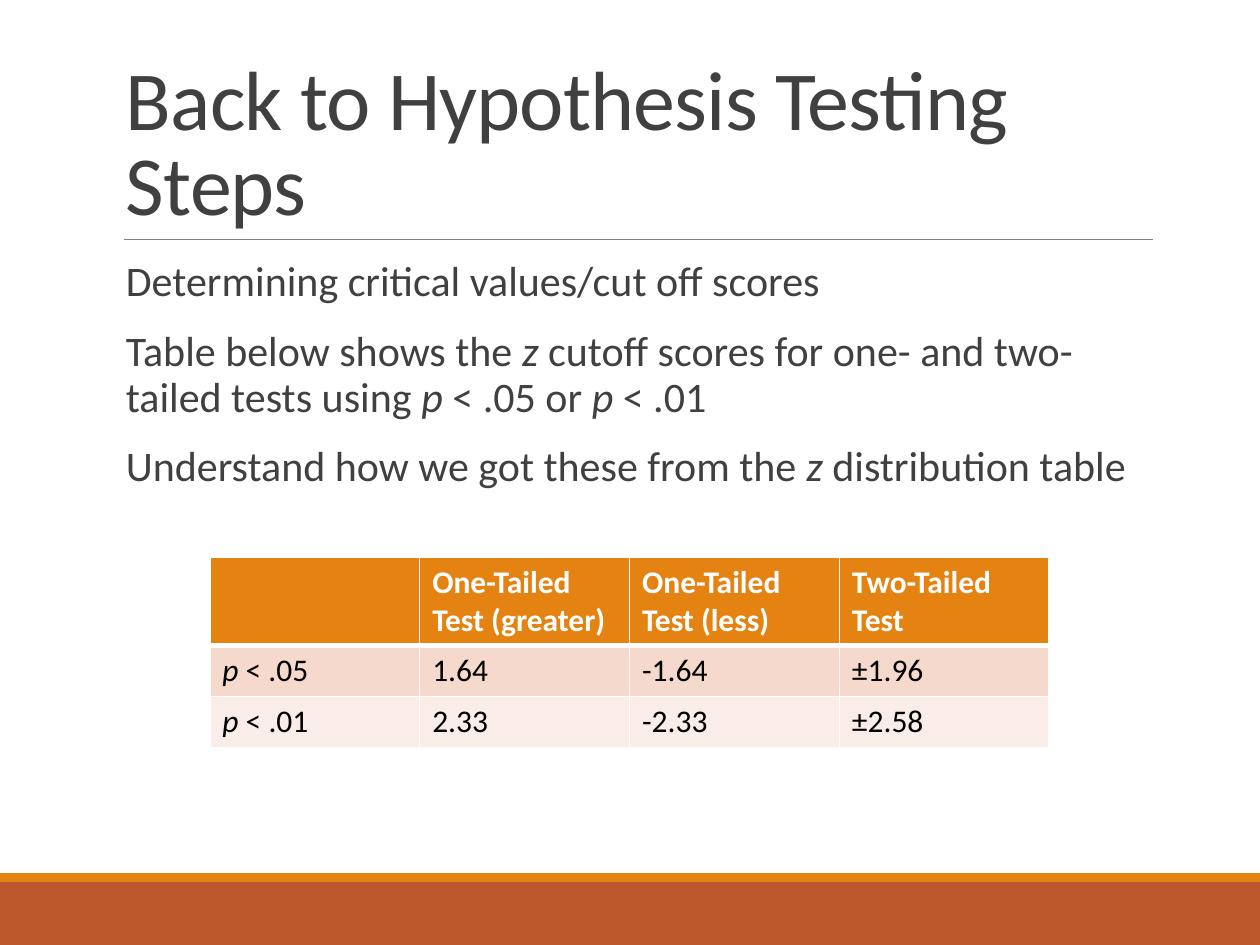
from lxml.etree import SubElement
from pptx import Presentation
from pptx.dml.color import RGBColor
from pptx.enum.shapes import MSO_CONNECTOR, MSO_SHAPE
from pptx.enum.text import MSO_ANCHOR
from pptx.oxml.ns import qn
from pptx.util import Cm, Pt

COLORS = {
    "text": "404040",
    "rule": "808080",
    "orange": "E48312",
    "rust": "BD582C",
    "white": "FFFFFF",
    "black": "000000",
    "band_dark": "F5D9CC",
    "band_light": "FAEDE7",
}


def rgb(name):
    return RGBColor.from_string(COLORS[name])


def write_text(paragraph, text, font="Calibri", size=18, color="text", bold=False, tracking=0):
    for index, part in enumerate(text.split("*")):
        if not part:
            continue
        run = paragraph.add_run()
        run.text = part
        run.font.name = font
        run.font.size = Pt(size)
        run.font.bold = bold
        run.font.italic = index % 2 == 1
        run.font.color.rgb = rgb(color)
        if tracking:
            run.font._element.set("spc", str(int(tracking * 100)))


class SlideBuilder:
    def __init__(self, slide):
        self.slide = slide

    def band(self, top, height, color):
        band = self.slide.shapes.add_shape(
            MSO_SHAPE.RECTANGLE, 0, Cm(top), Cm(25.4), Cm(height))
        band.shadow.inherit = False
        band.fill.solid()
        band.fill.fore_color.rgb = rgb(color)
        band.line.fill.background()

    def rule(self, left, right, top):
        rule = self.slide.shapes.add_connector(
            MSO_CONNECTOR.STRAIGHT, Cm(left), Cm(top), Cm(right), Cm(top))
        rule.line.color.rgb = rgb("rule")
        rule.line.width = Pt(0.5)
        SubElement(rule._element.spPr, qn("a:effectLst"))

    def text(self, left, top, width, height, lines, anchor=MSO_ANCHOR.TOP,
             side_margins=(0.25, 0.25), line_spacing=0.9, **style):
        frame = self.slide.shapes.add_textbox(
            Cm(left), Cm(top), Cm(width), Cm(height)).text_frame
        frame.word_wrap = True
        frame.vertical_anchor = anchor
        frame.margin_left, frame.margin_right = map(Cm, side_margins)
        for index, line in enumerate(lines):
            paragraph = frame.add_paragraph() if index else frame.paragraphs[0]
            paragraph.line_spacing = line_spacing
            if index:
                paragraph.space_before = Pt(12)
            paragraph.space_after = Pt(2)
            write_text(paragraph, line, **style)

    def borders(self, cell, top=1, bottom=1):
        properties = cell._tc.get_or_add_tcPr()
        for side, width in (("L", 1), ("R", 1), ("T", top), ("B", bottom)):
            border = SubElement(properties, qn(f"a:ln{side}"), w=str(Pt(width)))
            fill = SubElement(border, qn("a:solidFill"))
            SubElement(fill, qn("a:srgbClr"), val=COLORS["white"])

    def table(self, left, top, column_width, row_heights, rows, fills):
        table = self.slide.shapes.add_table(
            len(rows), len(rows[0]), Cm(left), Cm(top),
            Cm(column_width * len(rows[0])), Cm(sum(row_heights))).table
        for column in table.columns:
            column.width = Cm(column_width)
        for r, (height, values, fill) in enumerate(zip(row_heights, rows, fills)):
            table.rows[r].height = Cm(height)
            header = r == 0
            for c, value in enumerate(values):
                cell = table.cell(r, c)
                self.borders(cell, top=3 if r == 1 else 1, bottom=3 if header else 1)
                cell.fill.solid()
                cell.fill.fore_color.rgb = rgb(fill)
                write_text(cell.text_frame.paragraphs[0], value, bold=header,
                           color="white" if header else "black")


def main():
    presentation = Presentation()
    presentation.slide_width = Cm(25.4)
    presentation.slide_height = Cm(19.05)
    builder = SlideBuilder(presentation.slides.add_slide(presentation.slide_layouts[6]))

    builder.band(17.78, 1.27, "rust")
    builder.band(17.6, 0.18, "orange")
    builder.rule(2.49, 23.24, 4.83)
    builder.text(2.29, 0.79, 20.96, 4.03, ["Back to Hypothesis Testing Steps"],
                 anchor=MSO_ANCHOR.BOTTOM, line_spacing=0.85, size=48, tracking=-0.5)
    builder.text(2.29, 5.13, 20.96, 11.18, [
        "Determining critical values/cut off scores",
        "Table below shows the *z *cutoff scores for one- and two- tailed tests "
        "using *p* < .05 or *p* < .01",
        "Understand how we got these from the *z *distribution table",
    ], side_margins=(0.25, 0), size=24)
    builder.table(4.23, 11.23, 4.23, [1.78, 1.03, 1.03], [
        ["", "One-Tailed Test (greater)", "One-Tailed Test (less)", "Two-Tailed Test"],
        ["*p* < .05", "1.64", "-1.64", "±1.96"],
        ["*p *< .01", "2.33", "-2.33", "±2.58"],
    ], ["orange", "band_dark", "band_light"])

    presentation.save("out.pptx")


if __name__ == "__main__":
    main()
